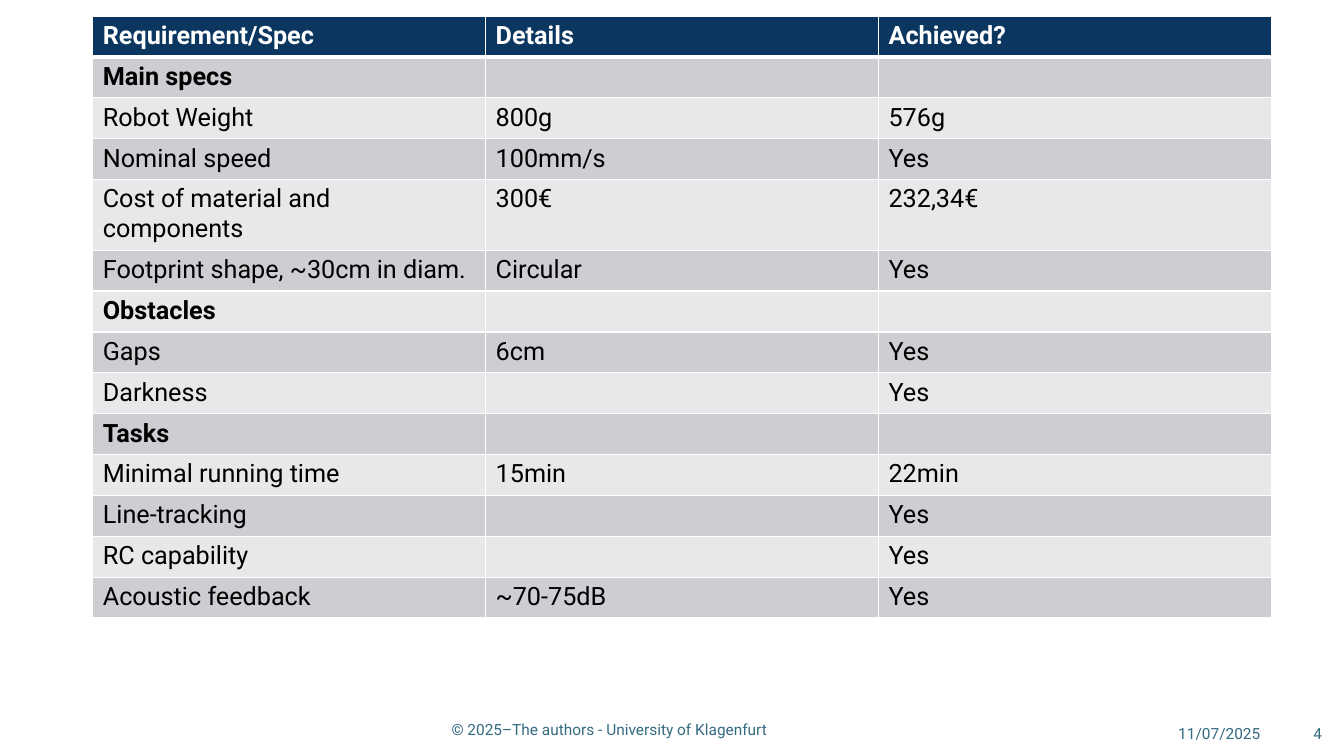
import dataclasses

import lxml.etree
import pptx
import pptx.dml.color
import pptx.enum.text
import pptx.oxml.ns
import pptx.util

FONT = "Roboto"
COLORS = {
    "header": "0A3660",
    "band_dark": "CCCED2",
    "band_light": "E7E8EA",
    "white": "FFFFFF",
    "black": "000000",
    "footer": "336B81",
}
HEADINGS = ("Requirement/Spec", "Details", "Achieved?")


@dataclasses.dataclass(frozen=True)
class Requirement:
    name: str
    details: str = ""
    achieved: str = ""
    section: bool = False


@dataclasses.dataclass(frozen=True)
class FooterItem:
    text: str
    left: float
    top: float
    width: float
    height: float
    align: pptx.enum.text.PP_ALIGN
    anchor: pptx.enum.text.MSO_ANCHOR


REQUIREMENTS = [
    Requirement("Main specs", section=True),
    Requirement("Robot Weight", "800g", "576g"),
    Requirement("Nominal speed", "100mm/s", "Yes"),
    Requirement("Cost of material and components", "300€", "232,34€"),
    Requirement("Footprint shape, ~30cm in diam.", "Circular", "Yes"),
    Requirement("Obstacles", section=True),
    Requirement("Gaps", "6cm", "Yes"),
    Requirement("Darkness", "", "Yes"),
    Requirement("Tasks", section=True),
    Requirement("Minimal running time", "15min", "22min"),
    Requirement("Line-tracking", "", "Yes"),
    Requirement("RC capability", "", "Yes"),
    Requirement("Acoustic feedback", "~70-75dB", "Yes"),
]

ALIGN = pptx.enum.text.PP_ALIGN
ANCHOR = pptx.enum.text.MSO_ANCHOR
FOOTER = [
    FooterItem("© 2025–The authors - University of Klagenfurt",
               4.38, 7.09, 8.82, 0.29, ALIGN.LEFT, ANCHOR.TOP),
    FooterItem("11/07/2025", 11.13, 7.18, 1.47, 0.2, ALIGN.RIGHT, ANCHOR.MIDDLE),
    FooterItem("4", 12.78, 7.18, 0.43, 0.2, ALIGN.RIGHT, ANCHOR.MIDDLE),
]


def rgb(name: str) -> pptx.dml.color.RGBColor:
    return pptx.dml.color.RGBColor.from_string(COLORS[name])


def set_font(p, size: float, color: str, bold: bool = False) -> None:
    p.font.name = FONT
    p.font.size = pptx.util.Pt(size)
    p.font.bold = bold
    p.font.color.rgb = rgb(color)


def set_borders(cell, bottom: float) -> None:
    qn = pptx.oxml.ns.qn
    tc_pr = cell._tc.get_or_add_tcPr()
    widths = {"a:lnL": 1, "a:lnR": 1, "a:lnT": 1, "a:lnB": bottom}
    for i, (tag, width) in enumerate(widths.items()):
        ln = lxml.etree.Element(qn(tag), w=str(pptx.util.Pt(width)))
        fill = lxml.etree.SubElement(ln, qn("a:solidFill"))
        lxml.etree.SubElement(fill, qn("a:srgbClr"), val=COLORS["white"])
        tc_pr.insert(i, ln)


def fill_cell(cell, text: str, fill: str, color: str, bold: bool, bottom: float) -> None:
    cell.fill.solid()
    cell.fill.fore_color.rgb = rgb(fill)
    set_borders(cell, bottom)
    cell.text = text
    set_font(cell.text_frame.paragraphs[0], 18, color, bold)


def add_requirements(slide) -> None:
    table = slide.shapes.add_table(
        len(REQUIREMENTS) + 1, len(HEADINGS),
        pptx.util.Inches(0.92), pptx.util.Inches(0.16),
        pptx.util.Inches(11.69), pptx.util.Inches(5.68)).table
    table.horz_banding = False
    for col, heading in enumerate(HEADINGS):
        fill_cell(table.cell(0, col), heading, "header", "white", True, 3)
    for row, req in enumerate(REQUIREMENTS, 1):
        band = "band_dark" if row % 2 else "band_light"
        for col, text in enumerate((req.name, req.details, req.achieved)):
            cell = table.cell(row, col)
            fill_cell(cell, text, band, "black", req.section, 1)
            if row == 1:
                top = cell._tc.tcPr.find(pptx.oxml.ns.qn("a:lnT"))
                top.set("w", str(pptx.util.Pt(3)))


def add_footer_item(slide, item: FooterItem) -> None:
    sp = slide.shapes.add_textbox(
        *map(pptx.util.Inches, (item.left, item.top, item.width, item.height)))
    tf = sp.text_frame
    tf.word_wrap = True
    tf.vertical_anchor = item.anchor
    p = tf.paragraphs[0]
    p.text = item.text
    p.alignment = item.align
    set_font(p, 11, "footer")


def main() -> None:
    prs = pptx.Presentation()
    prs.slide_width = pptx.util.Inches(13.33)
    prs.slide_height = pptx.util.Inches(7.5)
    slide = prs.slides.add_slide(prs.slide_layouts[6])
    for item in FOOTER:
        add_footer_item(slide, item)
    add_requirements(slide)
    prs.save("out.pptx")


if __name__ == "__main__":
    main()
